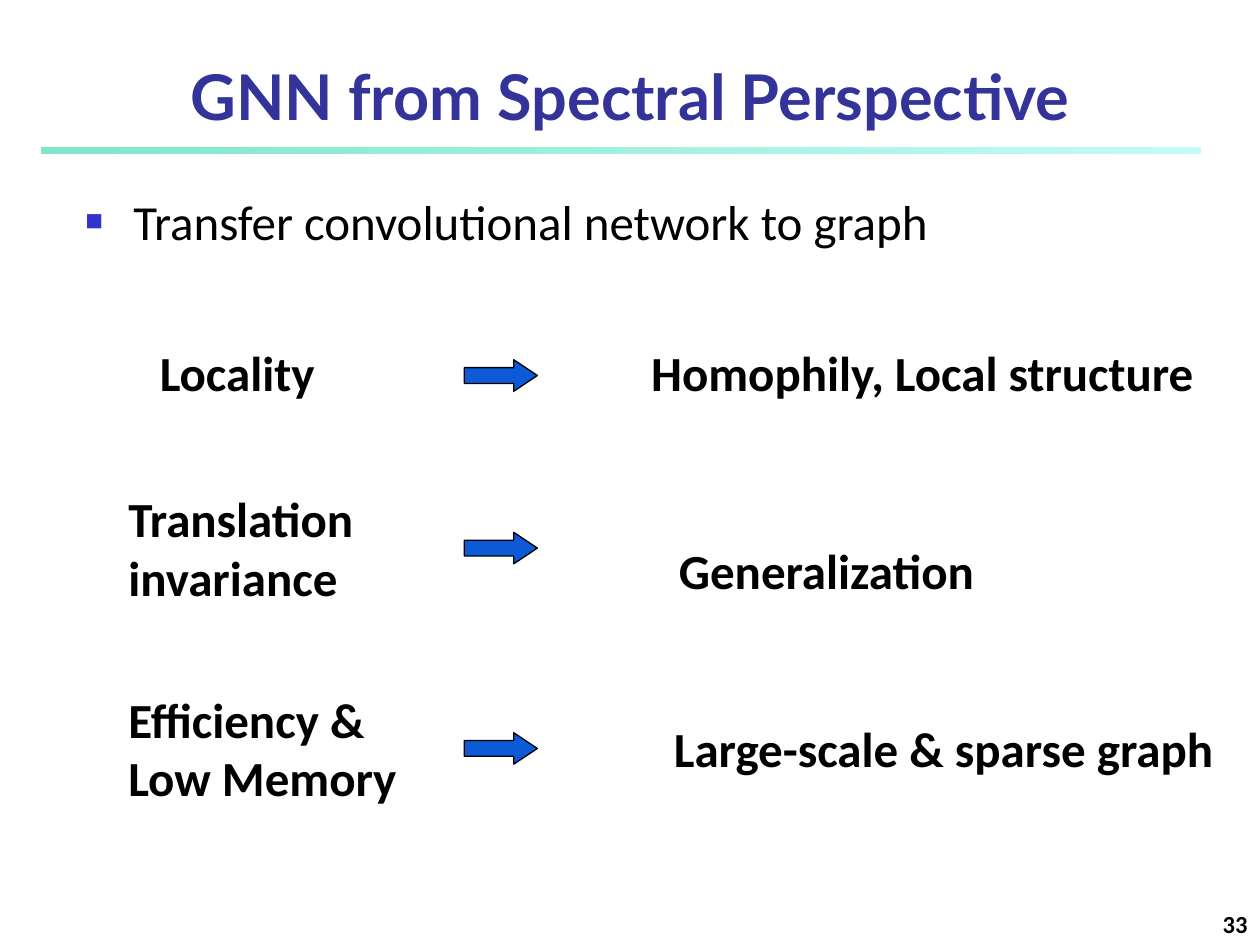
from lxml import etree
from pptx import Presentation
from pptx import util as u
from pptx.dml.color import RGBColor
from pptx.enum import shapes, text
from pptx.oxml.ns import qn

BLACK = RGBColor(0x00, 0x00, 0x00)
NAVY = RGBColor(0x33, 0x33, 0x99)
BULLET_BLUE = RGBColor(0x33, 0x33, 0xCC)
ARROW_BLUE = RGBColor(0x0D, 0x5A, 0xD7)
RULE_GREEN = RGBColor(0x00, 0xCE, 0x98)
RULE_AQUA = RGBColor(0x8F, 0xF9, 0xEF)

ROWS = [
    ("Locality", (1.17, 2.67, 1.54, 0.57), 2.69,
     "Homophily, Local structure", (5.07, 2.67, 4.65, 0.57)),
    ("Translation\ninvariance", (0.92, 3.83, 2.1, 1.04), 4.06,
     "Generalization", (5.29, 4.24, 2.57, 0.57)),
    ("Efficiency &\nLow Memory", (0.92, 5.42, 2.45, 1.04), 5.65,
     "Large-scale & sparse graph", (5.25, 5.65, 4.54, 0.57)),
]


def inches(area):
    return [u.Inches(length) for length in area]


def add_bullet(para, symbol, color, percent, indent):
    properties = para._p.get_or_add_pPr()
    properties.set("marL", str(u.Inches(indent)))
    properties.set("indent", str(-u.Inches(indent)))
    tint = etree.SubElement(properties, qn("a:buClr"))
    etree.SubElement(tint, qn("a:srgbClr"), val=str(color))
    etree.SubElement(properties, qn("a:buSzPct"), val=str(percent * 1000))
    etree.SubElement(properties, qn("a:buFont"), typeface="Arial")
    etree.SubElement(properties, qn("a:buChar"), char=symbol)


def add_text(page, area, content, size=28, font="Calibri", color=BLACK, bold=True,
             align=text.PP_ALIGN.LEFT, anchor=text.MSO_ANCHOR.TOP,
             wrap=True, bullet=None, spacing=None):
    box = page.shapes.add_textbox(*inches(area))
    frame = box.text_frame
    frame.word_wrap = wrap
    frame.auto_size = text.MSO_AUTO_SIZE.NONE if wrap else text.MSO_AUTO_SIZE.SHAPE_TO_FIT_TEXT
    frame.vertical_anchor = anchor
    for index, line in enumerate(content.split("\n")):
        para = frame.add_paragraph() if index else frame.paragraphs[0]
        para.alignment = align
        if spacing:
            para.line_spacing = spacing
        if bullet:
            add_bullet(para, bullet, BULLET_BLUE, percent=60, indent=0.38)
        span = para.add_run()
        span.text = line
        span.font.name = font
        span.font.size = u.Pt(size)
        span.font.bold = bold
        span.font.color.rgb = color


def add_rule(page, area):
    rule = page.shapes.add_shape(shapes.MSO_SHAPE.RECTANGLE, *inches(area))
    rule.shadow.inherit = False
    rule.line.fill.background()
    rule.fill.gradient()
    rule.fill.gradient_angle = 0
    stops = zip(rule.fill.gradient_stops, (RULE_GREEN, RULE_AQUA), (0, 1))
    for stop, color, position in stops:
        stop.color.rgb = color
        stop.position = position
    for tint, opacity in zip(rule._element.spPr.iter(qn("a:srgbClr")), (50, 52)):
        etree.SubElement(tint, qn("a:alpha"), val=str(opacity * 1000))


def add_arrow(page, area):
    arrow = page.shapes.add_shape(shapes.MSO_SHAPE.DOWN_ARROW, *inches(area))
    arrow.rotation = 270
    arrow.adjustments[0] = 0.5
    arrow.adjustments[1] = 0.75
    arrow.shadow.inherit = False
    arrow.fill.solid()
    arrow.fill.fore_color.rgb = ARROW_BLUE
    arrow.line.color.rgb = BLACK
    arrow.line.width = u.Pt(0.75)


def add_header(page, area):
    add_text(page, area, "GNN from Spectral Perspective", size=36, font="Lato",
             color=NAVY, align=text.PP_ALIGN.CENTER, anchor=text.MSO_ANCHOR.MIDDLE)
    left, top, width, height = area
    add_rule(page, (left + 0.33, top + height + 0.08, width - 0.8, 0.05))


def add_mapping(page, source, source_area, arrow_top, target, target_area):
    add_text(page, source_area, source, wrap=False)
    add_arrow(page, (3.85, arrow_top, 0.25, 0.58))
    add_text(page, target_area, target, wrap=False)


def main():
    deck = Presentation()
    deck.slide_width, deck.slide_height = u.Inches(10), u.Inches(7.5)
    page = deck.slides.add_slide(deck.slide_layouts[6])
    add_header(page, (0, 0.42, 10, 0.67))
    add_text(page, (0.58, 1.33, 9.17, 1.16), "Transfer convolutional network to graph",
             bold=False, bullet="■", spacing=1.3)
    for row in ROWS:
        add_mapping(page, *row)
    add_text(page, (7.92, 7.08, 2.08, 0.42), "33", size=14,
             align=text.PP_ALIGN.RIGHT, anchor=text.MSO_ANCHOR.BOTTOM)
    deck.save("out.pptx")


if __name__ == "__main__":
    main()
